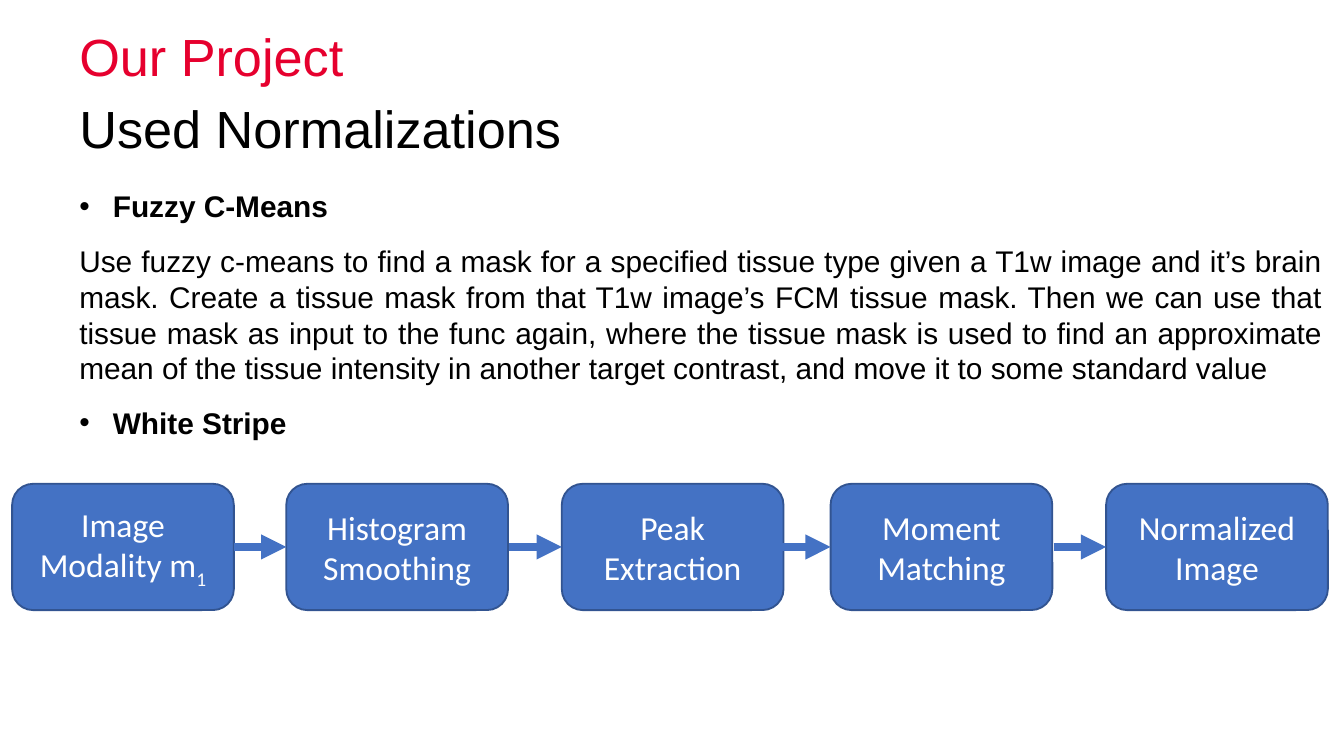
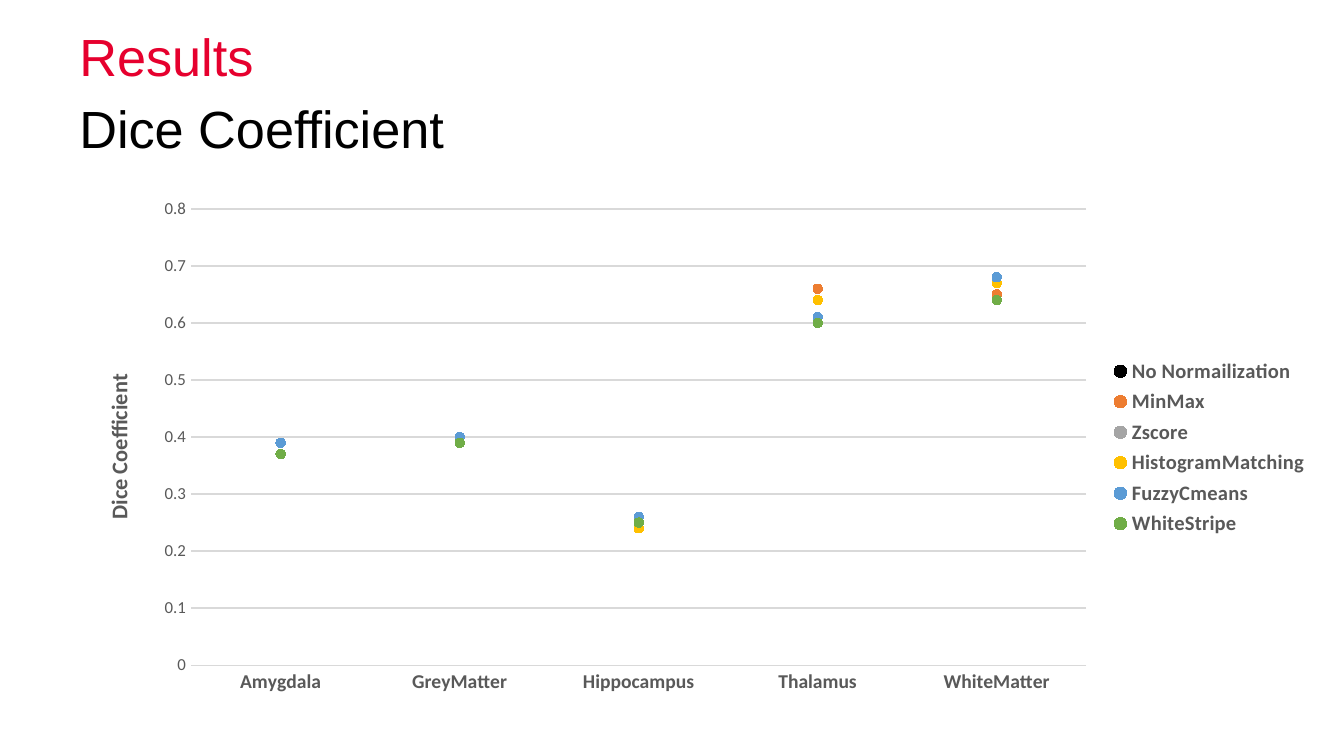
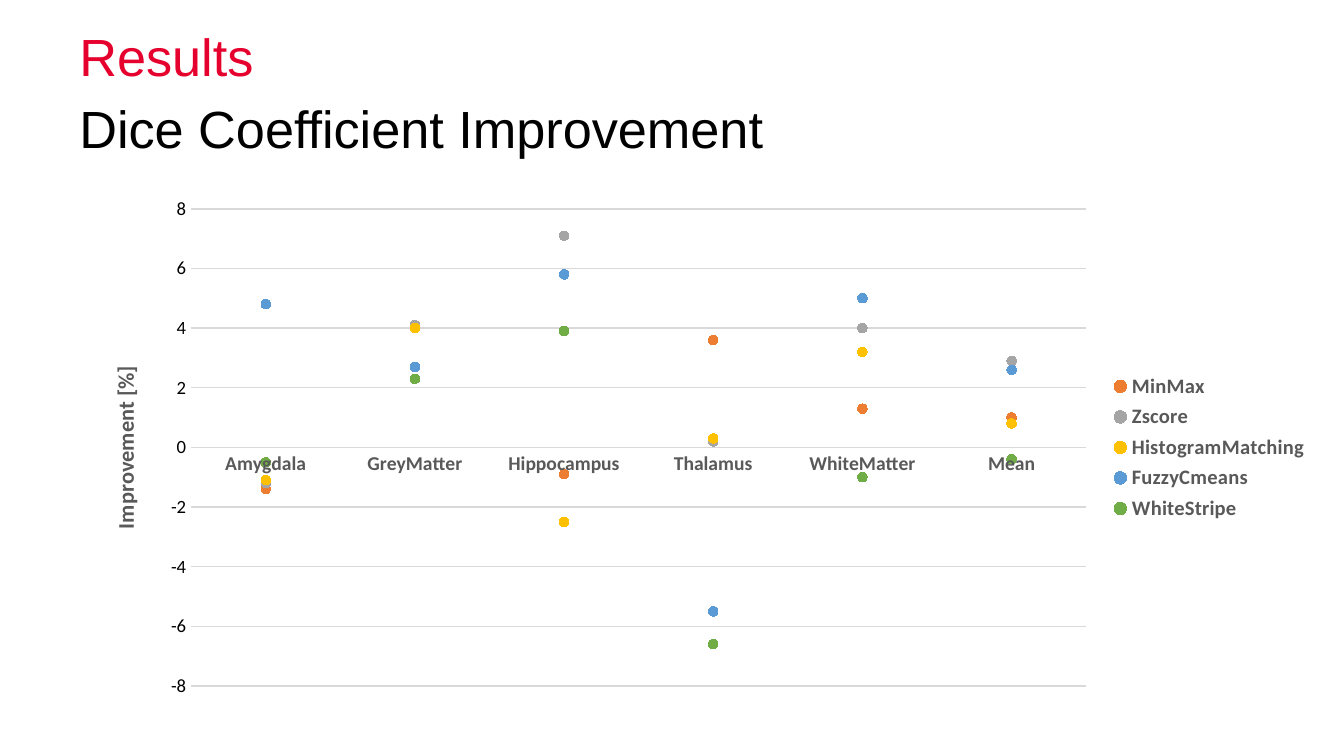
from lxml import etree
from pptx import Presentation
from pptx.chart.data import CategoryChartData
from pptx.dml.color import RGBColor
from pptx.enum import chart as charts, shapes, text
from pptx.oxml import ns, parse_xml
from pptx.util import Inches, Pt

RED = RGBColor(0xE6, 0x00, 0x2E)
BLACK = RGBColor(0, 0, 0)
WHITE = RGBColor(255, 255, 255)
BLUE = RGBColor(0x44, 0x72, 0xC4)
DARK_BLUE = RGBColor(0x32, 0x54, 0x91)
GREY = RGBColor(0x59, 0x59, 0x59)
GRID = RGBColor(0xD9, 0xD9, 0xD9)
METHOD_COLORS = {
    "No Normailization": BLACK,
    "MinMax": RGBColor(0xED, 0x7D, 0x31),
    "Zscore": RGBColor(0xA5, 0xA5, 0xA5),
    "HistogramMatching": RGBColor(0xFF, 0xC0, 0x00),
    "FuzzyCmeans": RGBColor(0x5B, 0x9B, 0xD5),
    "WhiteStripe": RGBColor(0x70, 0xAD, 0x47),
}
HEADING_FONT = "Arial"
DIAGRAM_FONT = "Calibri"
CONTENT_BOX = (0.59, 1.4, 9.25, 3.86)
REGIONS = ["Amygdala", "GreyMatter", "Hippocampus", "Thalamus", "WhiteMatter"]


def style_font(font, name, size, color, bold=False):
    """Set the family, size, colour and weight of a font."""
    font.name, font.size, font.bold = name, Pt(size), bold
    font.color.rgb = color


def add_text_frame(slide, box):
    """Add a wrapping text box without insets and return its frame."""
    frame = slide.shapes.add_textbox(*map(Inches, box)).text_frame
    frame.word_wrap = True
    frame.margin_left = frame.margin_right = 0
    frame.margin_top = frame.margin_bottom = 0
    return frame


def add_heading(slide, title, subtitle):
    """Place the red title with the black subtitle under it."""
    for content, top, color in ((subtitle, 0.74, BLACK), (title, 0.2, RED)):
        paragraph = add_text_frame(slide, (0.59, top, 7.68, 0.45)).paragraphs[0]
        paragraph.text = content
        paragraph.line_spacing = Pt(32)
        style_font(paragraph.runs[0].font, HEADING_FONT, 28, color)


def add_bullet(paragraph):
    """Give a paragraph a hanging round bullet."""
    properties = paragraph._p.get_or_add_pPr()
    properties.set("marL", str(Inches(0.25)))
    properties.set("indent", str(Inches(-0.25)))
    bullet_font = etree.SubElement(properties, ns.qn("a:buFont"))
    bullet_font.set("typeface", HEADING_FONT)
    etree.SubElement(properties, ns.qn("a:buChar")).set("char", "•")


def add_body(slide, box, items):
    """Write justified paragraphs; items are (text, is_bullet) pairs."""
    frame = add_text_frame(slide, box)
    for index, (content, is_bullet) in enumerate(items):
        paragraph = frame.add_paragraph() if index else frame.paragraphs[0]
        paragraph.text = content
        paragraph.alignment = text.PP_ALIGN.JUSTIFY
        paragraph.space_before = Pt(10)
        style_font(paragraph.runs[0].font, HEADING_FONT, 16, BLACK, is_bullet)
        if is_bullet:
            add_bullet(paragraph)


def add_step(slide, box, label, subscript):
    """Draw one rounded step with an optional subscript after its label."""
    shape = slide.shapes.add_shape(
        shapes.MSO_SHAPE.ROUNDED_RECTANGLE, *map(Inches, box))
    shape.shadow.inherit = False
    shape.fill.solid()
    shape.fill.fore_color.rgb = BLUE
    shape.line.color.rgb = DARK_BLUE
    shape.line.width = Pt(1)
    frame = shape.text_frame
    frame.word_wrap = True
    frame.vertical_anchor = text.MSO_ANCHOR.MIDDLE
    paragraph = frame.paragraphs[0]
    paragraph.text = label
    paragraph.alignment = text.PP_ALIGN.CENTER
    if subscript:
        run = paragraph.add_run()
        run.text = subscript
        run.font._element.set("baseline", "-25000")
    for run in paragraph.runs:
        style_font(run.font, DIAGRAM_FONT, 18, WHITE)


def add_arrow(slide, start, end, y):
    """Draw a thick horizontal arrow."""
    arrow = slide.shapes.add_connector(
        shapes.MSO_CONNECTOR.STRAIGHT,
        Inches(start), Inches(y), Inches(end), Inches(y))
    arrow.line.color.rgb = BLUE
    arrow.line.width = Pt(4.5)
    line = arrow.line._get_or_add_ln()
    etree.SubElement(line, ns.qn("a:tailEnd")).set("type", "triangle")
    etree.SubElement(arrow._element.spPr, ns.qn("a:effectLst"))


def add_flow(slide, box, steps):
    """Draw steps as (offset, label, subscript), with arrows between them."""
    left, top, width, height = box
    for offset, label, subscript in steps:
        add_step(slide, (left + offset, top, width, height), label, subscript)
    for offset, _, _ in steps[1:]:
        end = left + offset
        add_arrow(slide, end - 0.39, end, top + height / 2)


def set_plot_area(chart, x, y, width, height):
    """Fix the inner plot area as fractions of the chart."""
    plot_area = chart._chartSpace.chart.plotArea
    for layout in plot_area.findall(ns.qn("c:layout")):
        plot_area.remove(layout)
    plot_area.insert(0, parse_xml(
        f'<c:layout {ns.nsdecls("c")}><c:manualLayout>'
        '<c:layoutTarget val="inner"/>'
        '<c:xMode val="edge"/><c:yMode val="edge"/>'
        f'<c:x val="{x}"/><c:y val="{y}"/>'
        f'<c:w val="{width}"/><c:h val="{height}"/>'
        '</c:manualLayout></c:layout>'))


def style_value_axis(axis, title, limits, step, size, color):
    """Set the scale, gridlines, labels and title of the value axis."""
    axis.minimum_scale, axis.maximum_scale = limits
    axis.major_unit = step
    axis.major_tick_mark = charts.XL_TICK_MARK.NONE
    axis.format.line.fill.background()
    axis.major_gridlines.format.line.color.rgb = GRID
    axis.major_gridlines.format.line.width = Pt(0.75)
    axis.tick_labels.number_format = "General"
    axis.tick_labels.number_format_is_linked = False
    style_font(axis.tick_labels.font, DIAGRAM_FONT, size, color)
    paragraph = axis.axis_title.text_frame.paragraphs[0]
    paragraph.text = title
    style_font(paragraph.runs[0].font, DIAGRAM_FONT, 12, GREY, True)


def add_marker_chart(slide, box, categories, series_values, plot_box, **value_axis):
    """Draw a line chart that shows only round markers."""
    data = CategoryChartData()
    data.categories = categories
    for name, values in series_values.items():
        data.add_series(name, values)
    chart = slide.shapes.add_chart(
        charts.XL_CHART_TYPE.LINE_MARKERS, *map(Inches, box), data).chart
    style_font(chart.font, DIAGRAM_FONT, 10, BLACK)
    chart.has_title = False
    chart.has_legend = True
    chart.legend.position = charts.XL_LEGEND_POSITION.RIGHT
    chart.legend.include_in_layout = False
    style_font(chart.legend.font, DIAGRAM_FONT, 11, GREY, True)
    chart.plots[0].vary_by_categories = False
    for series in chart.plots[0].series:
        color = METHOD_COLORS[series.name]
        series.smooth = False
        series.format.line.fill.background()
        series.marker.style = charts.XL_MARKER_STYLE.CIRCLE
        series.marker.size = 5
        series.marker.format.fill.solid()
        series.marker.format.fill.fore_color.rgb = color
        series.marker.format.line.color.rgb = color
    axis = chart.category_axis
    axis.major_tick_mark = charts.XL_TICK_MARK.NONE
    axis.format.line.color.rgb = GRID
    axis.format.line.width = Pt(0.75)
    style_font(axis.tick_labels.font, DIAGRAM_FONT, 10.5, GREY, True)
    style_value_axis(chart.value_axis, **value_axis)
    set_plot_area(chart, *plot_box)


def new_slide(presentation, title, subtitle):
    """Add a blank slide with the shared heading."""
    slide = presentation.slides.add_slide(presentation.slide_layouts[6])
    add_heading(slide, title, subtitle)
    return slide


def build_normalizations(presentation):
    """Build the slide on normalization methods."""
    slide = new_slide(presentation, "Our Project", "Used Normalizations")
    add_body(slide, CONTENT_BOX, [
        ("Fuzzy C-Means", True),
        ("Use fuzzy c-means to find a mask for a specified tissue type given a "
         "T1w image and it’s brain mask. Create a tissue mask from that T1w "
         "image’s FCM tissue mask. Then we can use that tissue mask as input to "
         "the func again, where the tissue mask is used to find an approximate "
         "mean of the tissue intensity in another target contrast, and move it "
         "to some standard value", False),
        ("White Stripe", True),
    ])
    add_flow(slide, (0.09, 3.6, 1.65, 0.94), [
        (0, "Image Modality m", "1"),
        (2.04, "Histogram Smoothing", ""),
        (4.09, "Peak Extraction", ""),
        (6.09, "Moment Matching", ""),
        (8.14, "Normalized Image", ""),
    ])


def build_dice(presentation):
    """Build the slide with Dice coefficients by region."""
    slide = new_slide(presentation, "Results", "Dice Coefficient")
    add_marker_chart(
        slide, CONTENT_BOX, REGIONS, {
            "No Normailization": (0.37, 0.39, 0.24, 0.64, 0.65),
            "MinMax": (0.37, 0.39, 0.24, 0.66, 0.65),
            "Zscore": (0.37, 0.4, 0.26, 0.64, 0.67),
            "HistogramMatching": (0.37, 0.4, 0.24, 0.64, 0.67),
            "FuzzyCmeans": (0.39, 0.4, 0.26, 0.61, 0.68),
            "WhiteStripe": (0.37, 0.39, 0.25, 0.6, 0.64),
        }, (0.09, 0.04, 0.72, 0.88), title="Dice Coefficient",
        limits=(0, 0.8), step=0.1, size=9, color=GREY)


def build_improvement(presentation):
    """Build the slide with the improvement over no normalization."""
    slide = new_slide(presentation, "Results", "Dice Coefficient Improvement")
    add_marker_chart(
        slide, CONTENT_BOX, REGIONS + ["Mean"], {
            "MinMax": (-1.4, 2.3, -0.9, 3.6, 1.3, 1),
            "Zscore": (-1.2, 4.1, 7.1, 0.2, 4, 2.9),
            "HistogramMatching": (-1.1, 4, -2.5, 0.3, 3.2, 0.8),
            "FuzzyCmeans": (4.8, 2.7, 5.8, -5.5, 5, 2.6),
            "WhiteStripe": (-0.5, 2.3, 3.9, -6.6, -1, -0.4),
        }, (0.09, 0.04, 0.72, 0.92), title="Improvement [%]",
        limits=(-8, 8), step=2, size=10, color=BLACK)


def main():
    """Build and save the widescreen presentation."""
    presentation = Presentation()
    presentation.slide_width = Inches(10)
    presentation.slide_height = Inches(10) * 9 // 16
    build_normalizations(presentation)
    build_dice(presentation)
    build_improvement(presentation)
    presentation.save("out.pptx")


main()
